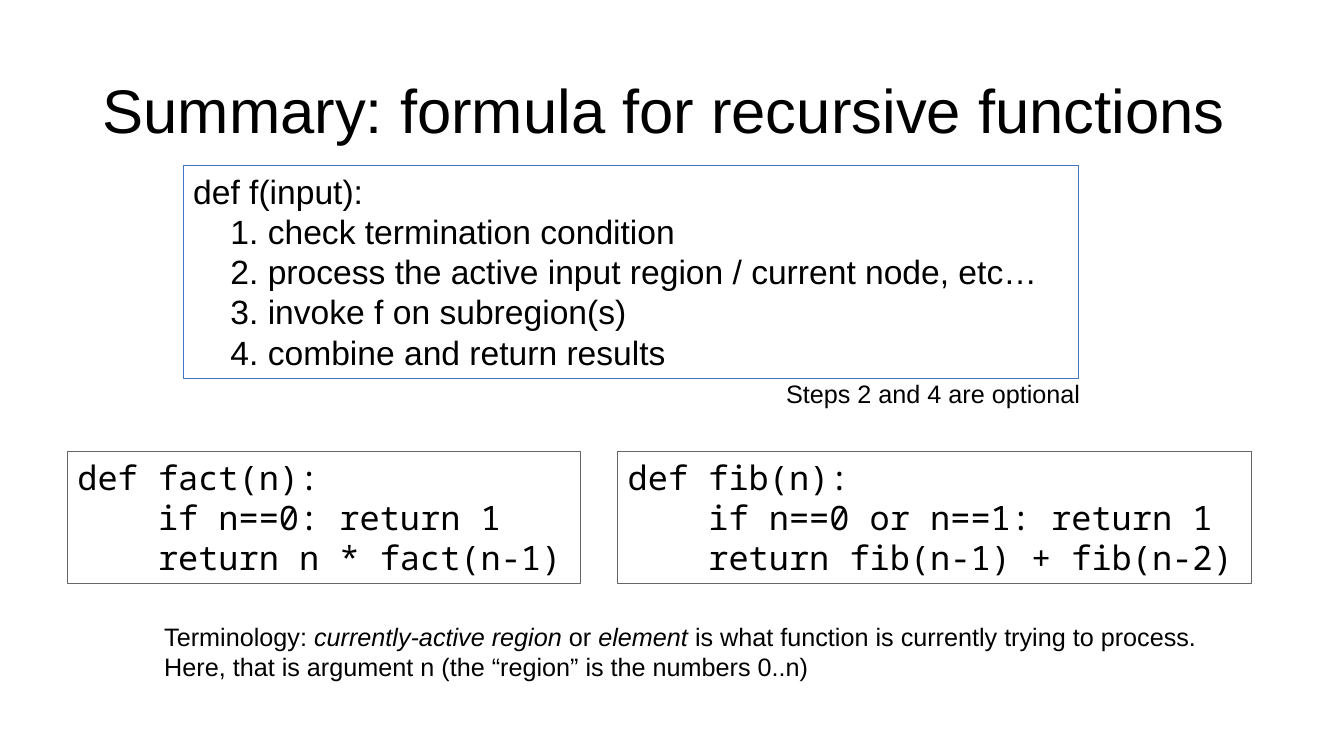
from dataclasses import dataclass
from typing import Optional

from pptx import Presentation
from pptx.dml.color import RGBColor
from pptx.enum.shapes import MSO_SHAPE
from pptx.enum.text import MSO_ANCHOR, PP_ALIGN
from pptx.slide import Slide
from pptx.text.text import TextFrame
from pptx.util import Cm, Pt

COLORS = {"text": "000000", "formula": "4472C4", "code": "666666"}
SANS = "Arial"
MONO = "Noto Sans Mono"
CODE_TOP = 11.38
CODE_HEIGHT = 3.33


@dataclass(frozen=True)
class Run:
    text: str
    italic: bool = False


@dataclass(frozen=True)
class Box:
    left: float
    top: float
    width: float
    height: float
    lines: list[list[Run]]
    size: int
    font: str = SANS
    border: Optional[str] = None


def plain(*lines: str) -> list[list[Run]]:
    return [[Run(line)] for line in lines]


def write(tf: TextFrame, lines: list[list[Run]], font: str, size: int) -> None:
    for i, runs in enumerate(lines):
        p = tf.paragraphs[0] if i == 0 else tf.add_paragraph()
        p.alignment = PP_ALIGN.LEFT
        for run in runs:
            r = p.add_run()
            r.text = run.text
            r.font.name = font
            r.font.size = Pt(size)
            r.font.italic = run.italic
            r.font.color.rgb = RGBColor.from_string(COLORS["text"])


def draw_box(s: Slide, box: Box) -> None:
    frame = Cm(box.left), Cm(box.top), Cm(box.width), Cm(box.height)
    if box.border:
        sp = s.shapes.add_shape(MSO_SHAPE.RECTANGLE, *frame)
        sp.shadow.inherit = False
        sp.fill.background()
        sp.line.color.rgb = RGBColor.from_string(COLORS[box.border])
        sp.line.width = Pt(0.75)
    else:
        sp = s.shapes.add_textbox(*frame)
    tf = sp.text_frame
    tf.word_wrap = True
    tf.vertical_anchor = MSO_ANCHOR.TOP
    write(tf, box.lines, box.font, box.size)


def draw_title(s: Slide, text: str) -> None:
    sp = s.shapes.title
    sp.left, sp.top, sp.width, sp.height = Cm(2.33), Cm(1.01), Cm(29.21), Cm(3.68)
    tf = sp.text_frame
    tf.vertical_anchor = MSO_ANCHOR.MIDDLE
    write(tf, plain(text), SANS, 44)
    tf.paragraphs[0].line_spacing = 0.9


BOXES = [
    Box(1.7, CODE_TOP, 12.93, CODE_HEIGHT, plain(
        "def fact(n):",
        "    if n==0: return 1",
        "    return n * fact(n-1)",
    ), 24, MONO, "code"),
    Box(4.62, 4.17, 22.56, 5.38, plain(
        "def f(input):",
        "    1. check termination condition",
        "    2. process the active input region / current node, etc…",
        "    3. invoke f on subregion(s)",
        "    4. combine and return results",
    ), 24, SANS, "formula"),
    Box(15.57, CODE_TOP, 15.98, CODE_HEIGHT, plain(
        "def fib(n):",
        "    if n==0 or n==1: return 1",
        "    return fib(n-1) + fib(n-2)",
    ), 24, MONO, "code"),
    Box(19.56, 9.42, 8, 1.02, plain("Steps 2 and 4 are optional"), 18),
    Box(3.89, 15.52, 26.77, 1.8, [
        [
            Run("Terminology: "),
            Run("currently-active region ", italic=True),
            Run("or "),
            Run("element ", italic=True),
            Run("is what function is currently trying to process."),
        ],
        [Run("Here, that is argument n (the “region” is the numbers 0..n)")],
    ], 18),
]


def main() -> None:
    prs = Presentation()
    prs.slide_width, prs.slide_height = Cm(33.87), Cm(19.05)
    s = prs.slides.add_slide(prs.slide_layouts[5])
    draw_title(s, "Summary: formula for recursive functions")
    for box in BOXES:
        draw_box(s, box)
    prs.save("out.pptx")


if __name__ == "__main__":
    main()
